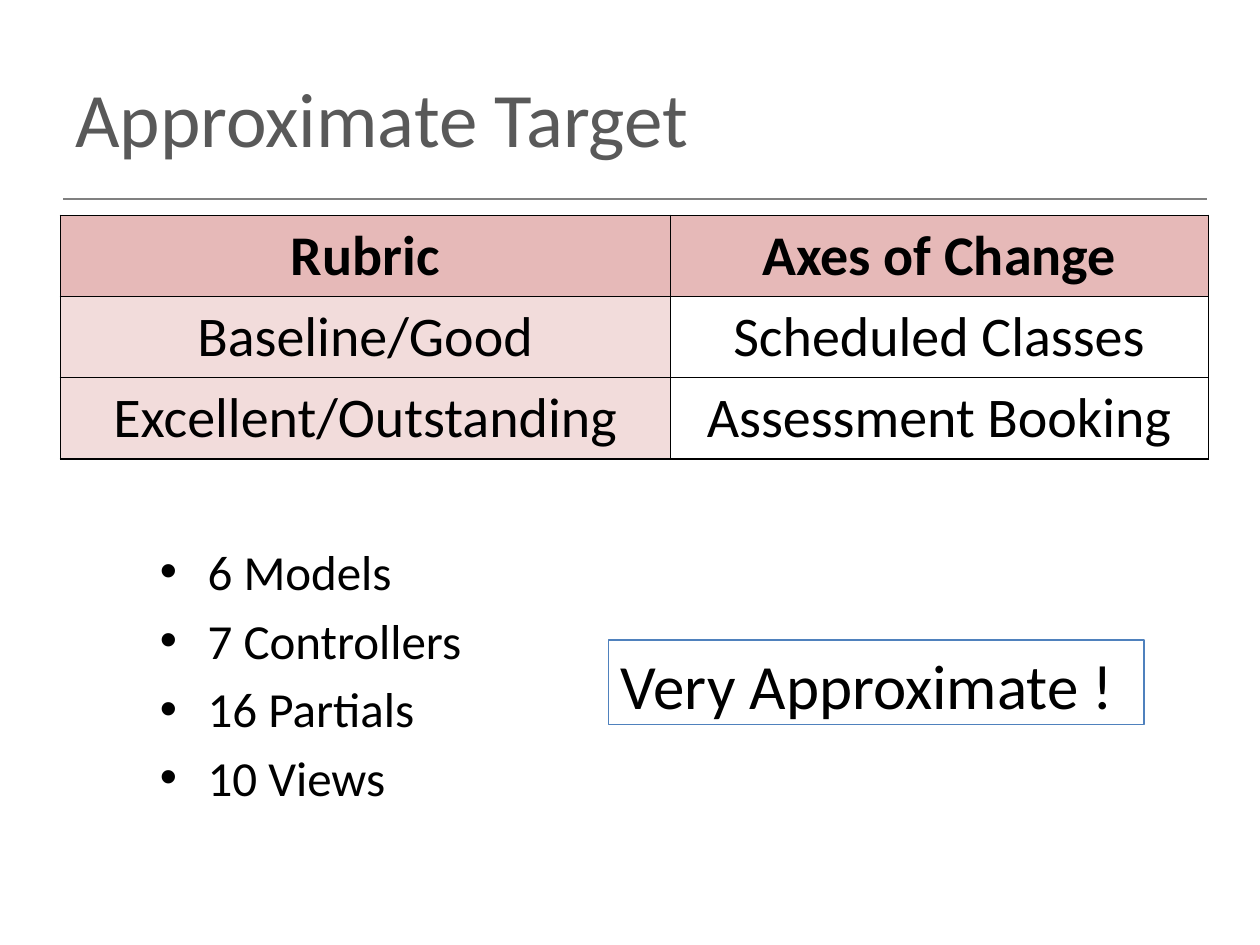
"""Build the Approximate Target slide: rubric table, counts and a callout."""
from dataclasses import dataclass

from lxml import etree
from pptx import Presentation
from pptx.dml.color import RGBColor
from pptx.enum.shapes import MSO_CONNECTOR, MSO_SHAPE
from pptx.enum.text import MSO_ANCHOR, PP_ALIGN
from pptx.oxml.ns import qn
from pptx.util import Inches, Pt

LEFT, CENTER = PP_ALIGN.LEFT, PP_ALIGN.CENTER
TOP, MIDDLE = MSO_ANCHOR.TOP, MSO_ANCHOR.MIDDLE
RECTANGLE = MSO_SHAPE.RECTANGLE
STRAIGHT = MSO_CONNECTOR.STRAIGHT


@dataclass(frozen=True)
class Theme:
    font: str = "Calibri"
    ink: str = "000000"
    title: str = "595959"
    rule: str = "808080"
    accent: str = "4F81BD"
    header_fill: str = "E6B9B8"
    label_fill: str = "F2DCDB"
    title_size: int = 44
    table_size: int = 32
    list_size: int = 28
    callout_size: int = 36


THEME = Theme()
TITLE = "Approximate Target"
RUBRIC = [
    ("Rubric", "Axes of Change"),
    ("Baseline/Good", "Scheduled Classes"),
    ("Excellent/Outstanding", "Assessment Booking"),
]
COLUMN_WIDTHS = (4.84, 4.27)
ROW_HEIGHT = 0.64
COUNTS = ["6 Models", "7 Controllers", "16 Partials", "10 Views"]
CALLOUT = "Very Approximate !"


def rgb(value):
    return RGBColor.from_string(value)


def add_run(p, text, size, color=THEME.ink, bold=False, align=LEFT):
    p.alignment = align
    r = p.add_run()
    r.text = text
    r.font.name = THEME.font
    r.font.size = Pt(size)
    r.font.bold = bold
    r.font.color.rgb = rgb(color)


def space_before(p, percent):
    spacing = etree.SubElement(p._p.get_or_add_pPr(), qn("a:spcBef"))
    etree.SubElement(spacing, qn("a:spcPct"), val=str(percent * 1000))


def add_bullet(p, indent):
    pPr = p._p.get_or_add_pPr()
    pPr.set("marL", str(Inches(indent)))
    pPr.set("indent", str(-Inches(indent)))
    etree.SubElement(pPr, qn("a:buFont"), typeface="Arial")
    etree.SubElement(pPr, qn("a:buChar"), char="•")


def add_borders(cell):
    tcPr = cell._tc.get_or_add_tcPr()
    for i, side in enumerate(("lnL", "lnR", "lnT", "lnB")):
        ln = etree.Element(qn(f"a:{side}"), w=str(Pt(1)))
        fill = etree.SubElement(ln, qn("a:solidFill"))
        etree.SubElement(fill, qn("a:srgbClr"), val=THEME.ink)
        tcPr.insert(i, ln)


def add_text_box(s, left, top, width, height, anchor=TOP):
    box = s.shapes.add_textbox(Inches(left), Inches(top), Inches(width), Inches(height))
    tf = box.text_frame
    tf.word_wrap = True
    tf.vertical_anchor = anchor
    return tf


def add_rule(s):
    line = s.shapes.add_connector(STRAIGHT, Inches(0.5), Inches(1.58), Inches(9.58), Inches(1.58))
    line.line.color.rgb = rgb(THEME.rule)
    line.line.width = Pt(1)
    etree.SubElement(line._element.spPr, qn("a:effectLst"))


def add_rubric(s):
    rows, cols = len(RUBRIC), len(COLUMN_WIDTHS)
    frame = s.shapes.add_table(rows, cols, Inches(0.48), Inches(1.71),
                               Inches(sum(COLUMN_WIDTHS)), Inches(ROW_HEIGHT * rows))
    table = frame.table
    for column, width in zip(table.columns, COLUMN_WIDTHS):
        column.width = Inches(width)
    for i, texts in enumerate(RUBRIC):
        table.rows[i].height = Inches(ROW_HEIGHT)
        for j, text in enumerate(texts):
            cell = table.cell(i, j)
            if i == 0 or j == 0:
                cell.fill.solid()
                cell.fill.fore_color.rgb = rgb(THEME.label_fill if i else THEME.header_fill)
            else:
                cell.fill.background()
            add_borders(cell)
            add_run(cell.text_frame.paragraphs[0], text, THEME.table_size,
                    bold=i == 0, align=CENTER)


def add_counts(s):
    tf = add_text_box(s, 1.17, 4.25, 3.42, 2.07)
    for i, text in enumerate(COUNTS):
        p = tf.add_paragraph() if i else tf.paragraphs[0]
        add_run(p, text, THEME.list_size)
        space_before(p, 20)
        add_bullet(p, 0.38)


def add_callout(s):
    sp = s.shapes.add_shape(RECTANGLE, Inches(4.83), Inches(5.08), Inches(4.25), Inches(0.67))
    sp.shadow.inherit = False
    sp.fill.background()
    sp.line.color.rgb = rgb(THEME.accent)
    sp.line.width = Pt(0.75)
    tf = sp.text_frame
    tf.word_wrap = True
    tf.vertical_anchor = TOP
    p = tf.paragraphs[0]
    add_run(p, CALLOUT, THEME.callout_size)
    space_before(p, 20)


def main():
    prs = Presentation()
    prs.slide_width, prs.slide_height = Inches(10), Inches(7.5)
    s = prs.slides.add_slide(prs.slide_layouts[6])
    add_rule(s)
    add_rubric(s)
    title = add_text_box(s, 0.5, 0.3, 9, 1.25, MIDDLE)
    add_run(title.paragraphs[0], TITLE, THEME.title_size, THEME.title)
    add_counts(s)
    add_callout(s)
    prs.save("out.pptx")


main()
